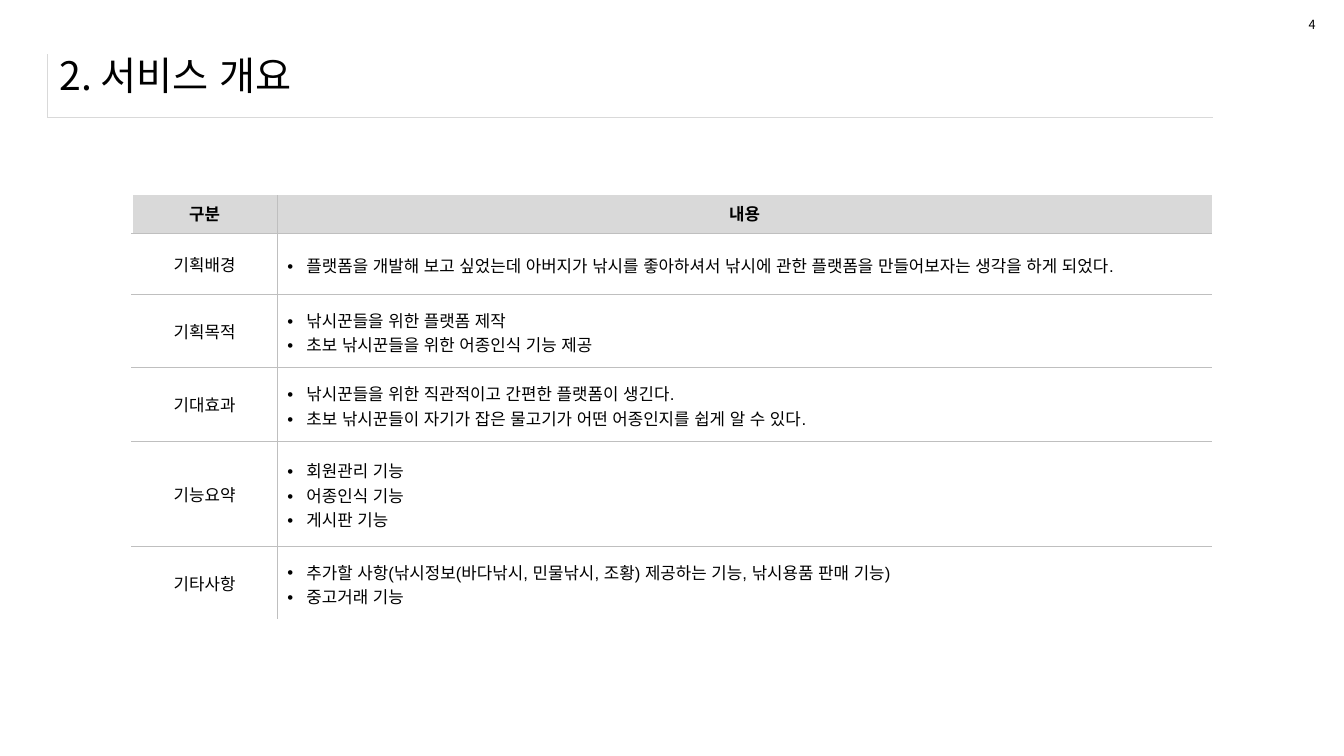
import dataclasses

import pptx
import pptx.dml.color
import pptx.enum.text
import pptx.oxml.ns
import pptx.util
from lxml import etree
from pptx.util import Inches

ALIGN = pptx.enum.text.PP_ALIGN
ANCHOR = pptx.enum.text.MSO_ANCHOR
qn = pptx.oxml.ns.qn


@dataclasses.dataclass(frozen=True)
class Theme:
    text: str = "000000"
    white: str = "FFFFFF"
    header: str = "D9D9D9"
    title_rule: str = "D9D9D9"
    table_rule: str = "BFBFBF"
    heading_font: str = "Noto Sans CJK KR"
    body_font: str = "Arial"
    title_size: int = 28
    body_size: int = 12
    number_size: int = 9
    thin: float = 0.25
    edge: float = 1


THEME = Theme()

HEADERS = ["구분", "내용"]
SECTIONS = [
    ("기획배경", ["플랫폼을 개발해 보고 싶었는데 아버지가 낚시를 좋아하셔서 낚시에 관한 플랫폼을 만들어보자는 생각을 하게 되었다."]),
    ("기획목적", ["낚시꾼들을 위한 플랫폼 제작", "초보 낚시꾼들을 위한 어종인식 기능 제공"]),
    ("기대효과", ["낚시꾼들을 위한 직관적이고 간편한 플랫폼이 생긴다.",
              "초보 낚시꾼들이 자기가 잡은 물고기가 어떤 어종인지를 쉽게 알 수 있다."]),
    ("기능요약", ["회원관리 기능", "어종인식 기능", "게시판 기능"]),
    ("기타사항", ["추가할 사항(낚시정보(바다낚시, 민물낚시, 조황) 제공하는 기능, 낚시용품 판매 기능)",
              "중고거래 기능"]),
]
COLUMN_WIDTHS = [1.44, 9.27]
ROW_HEIGHTS = [0.38, 0.6, 0.73, 0.73, 1.04, 0.73]


def rgb(value):
    return pptx.dml.color.RGBColor.from_string(value)


def apply_format(target, values):
    for name, value in values.items():
        setattr(target, name, value)


def write_paragraph(paragraph, text, size, font_name, bold=False, **layout):
    run = paragraph.add_run()
    run.text = text
    apply_format(run.font, {"size": pptx.util.Pt(size), "name": font_name, "bold": bold})
    run.font.color.rgb = rgb(THEME.text)
    # Spaces between Hangul words take the East Asian typeface
    latin = run.font._element.find(qn("a:latin"))
    latin.addnext(etree.Element(qn("a:ea"), typeface=THEME.body_font))
    apply_format(paragraph, layout)


def add_bullet(paragraph):
    properties = paragraph._p.get_or_add_pPr()
    properties.set("marL", str(Inches(0.19)))
    properties.set("indent", str(-Inches(0.19)))
    etree.SubElement(properties, qn("a:buFont"), typeface="Arial")
    etree.SubElement(properties, qn("a:buChar"), char="•")


def add_label(slide, box, text, size, wrap):
    shape = slide.shapes.add_textbox(*map(Inches, box))
    apply_format(shape.text_frame, {"word_wrap": wrap, "vertical_anchor": ANCHOR.MIDDLE})
    write_paragraph(shape.text_frame.paragraphs[0], text, size, THEME.heading_font)


def add_plain_table(slide, left, top, widths, heights):
    frame = slide.shapes.add_table(
        len(heights), len(widths), Inches(left), Inches(top),
        Inches(sum(widths)), Inches(sum(heights)))
    table = frame.table
    apply_format(table, {"first_row": False, "horz_banding": False})
    for column, width in zip(table.columns, widths):
        column.width = Inches(width)
    for row, height in zip(table.rows, heights):
        row.height = Inches(height)
    return table


def set_borders(cell, borders):
    properties = cell._tc.get_or_add_tcPr()
    for side in "LRTB":
        color, width = borders.get(side, (None, 0))
        line = etree.SubElement(properties, qn(f"a:ln{side}"), w=str(pptx.util.Pt(width)))
        if color:
            fill = etree.SubElement(line, qn("a:solidFill"))
            etree.SubElement(fill, qn("a:srgbClr"), val=color)
        else:
            etree.SubElement(line, qn("a:noFill"))


def style_cell(cell, row, column):
    # Grey rules run between cells; only the left edge is white
    inner = (THEME.table_rule, THEME.thin)
    borders = {"L": inner} if column else {"L": (THEME.white, THEME.edge), "R": inner}
    if row > 0:
        borders["T"] = inner
    if row < len(SECTIONS):
        borders["B"] = inner
    set_borders(cell, borders)
    cell.vertical_anchor = ANCHOR.MIDDLE
    if row == 0:
        cell.fill.solid()
        cell.fill.fore_color.rgb = rgb(THEME.header)
    else:
        cell.fill.background()


def add_title_frame(slide):
    cell = add_plain_table(slide, 0.47, 0.54, [11.56], [0.62]).cell(0, 0)
    rule = (THEME.title_rule, THEME.thin)
    set_borders(cell, {"L": rule, "B": rule})
    cell.fill.background()


def add_overview_table(slide):
    table = add_plain_table(slide, 1.31, 1.935, COLUMN_WIDTHS, ROW_HEIGHTS)
    for row in range(len(ROW_HEIGHTS)):
        for column in range(len(COLUMN_WIDTHS)):
            style_cell(table.cell(row, column), row, column)

    # Header row
    for column, text in enumerate(HEADERS):
        write_paragraph(table.cell(0, column).text_frame.paragraphs[0], text,
                        THEME.body_size, THEME.heading_font, bold=True,
                        alignment=ALIGN.CENTER)

    # Section rows
    for row, (name, points) in enumerate(SECTIONS, start=1):
        write_paragraph(table.cell(row, 0).text_frame.paragraphs[0], name,
                        THEME.body_size, THEME.body_font,
                        alignment=ALIGN.CENTER, line_spacing=1.2)
        text_frame = table.cell(row, 1).text_frame
        for index, point in enumerate(points):
            paragraph = text_frame.add_paragraph() if index else text_frame.paragraphs[0]
            write_paragraph(paragraph, point, THEME.body_size, THEME.body_font,
                            alignment=ALIGN.JUSTIFY, line_spacing=1.3)
            add_bullet(paragraph)


def main():
    presentation = pptx.Presentation()
    apply_format(presentation, {"slide_width": Inches(13.33), "slide_height": Inches(7.5)})
    slide = presentation.slides.add_slide(presentation.slide_layouts[6])

    # Title with its corner rules
    add_title_frame(slide)
    add_label(slide, (0.49, 0.41, 12.49, 0.67), "2. 서비스 개요", THEME.title_size, True)

    # Overview and page number
    add_overview_table(slide)
    add_label(slide, (12.88, 0.12, 0.27, 0.25), "4", THEME.number_size, False)

    presentation.save("out.pptx")


if __name__ == "__main__":
    main()
